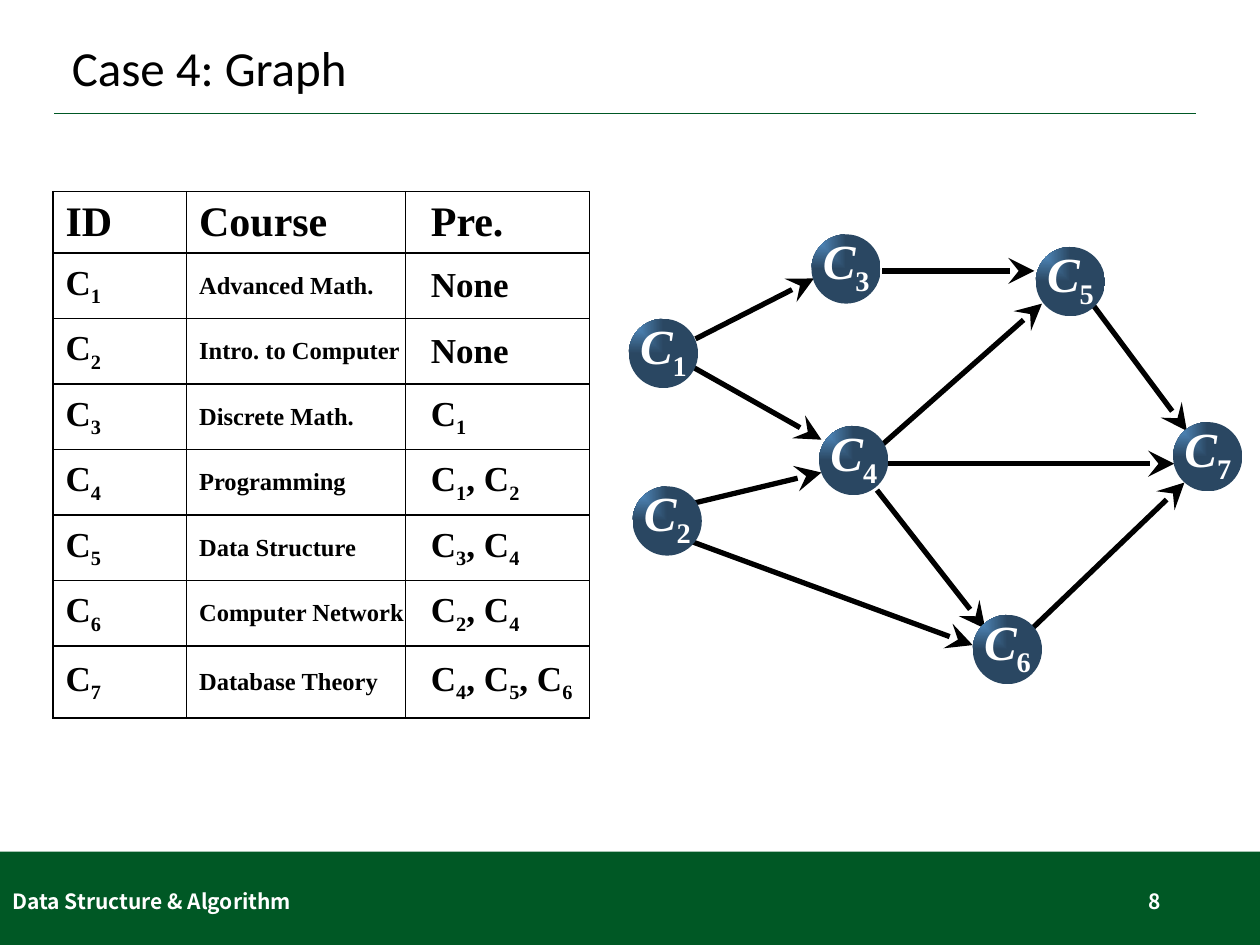
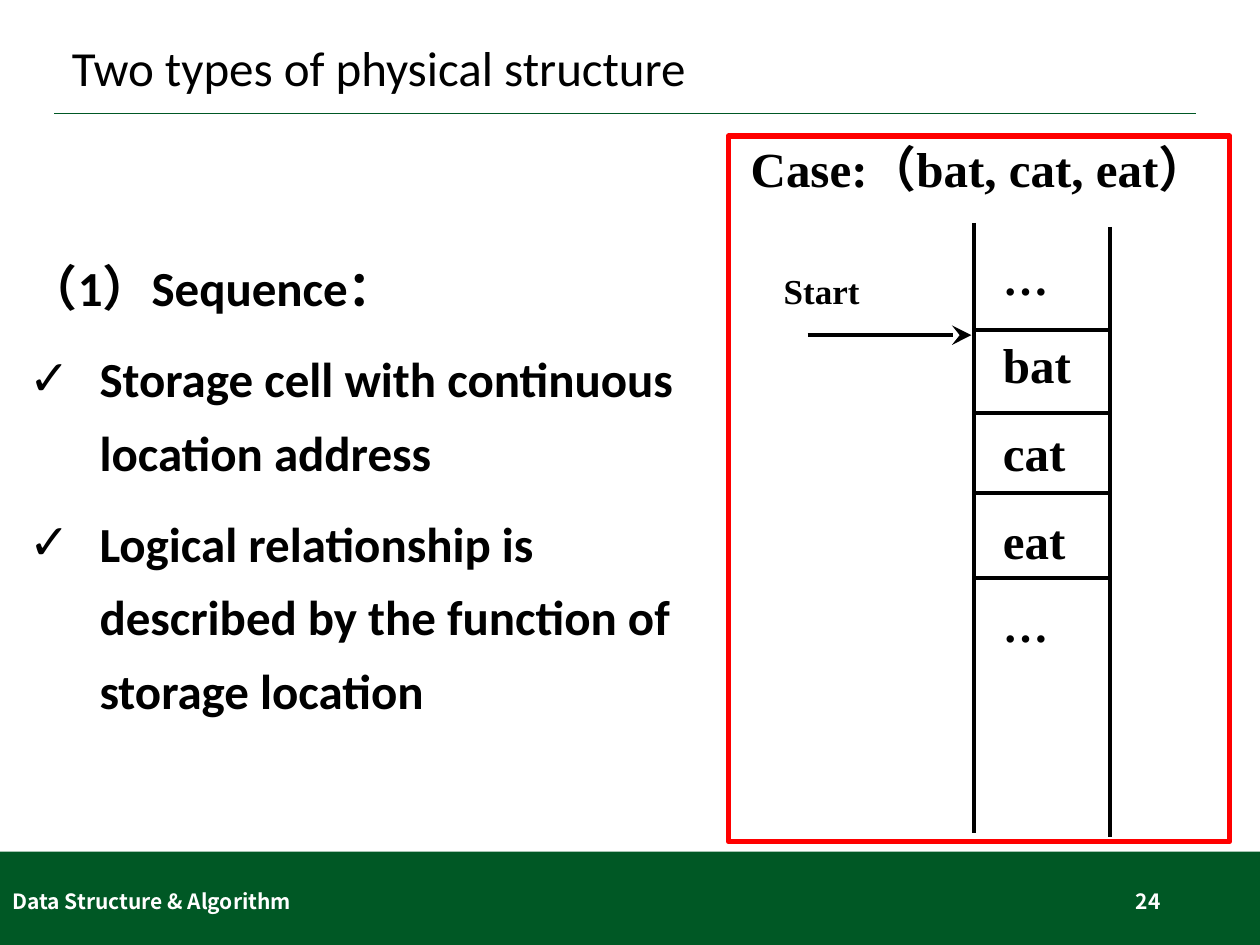
from lxml import etree
from pptx import Presentation
from pptx.dml.color import RGBColor
from pptx.enum.shapes import MSO_CONNECTOR, MSO_SHAPE
from pptx.enum.text import MSO_ANCHOR, MSO_AUTO_SIZE, PP_ALIGN
from pptx.oxml.ns import qn
from pptx.util import Inches, Pt

STRAIGHT = MSO_CONNECTOR.STRAIGHT
RECTANGLE, OVAL = MSO_SHAPE.RECTANGLE, MSO_SHAPE.OVAL
TOP, MIDDLE = MSO_ANCHOR.TOP, MSO_ANCHOR.MIDDLE
NO_AUTOFIT = MSO_AUTO_SIZE.NONE
LEFT, RIGHT = PP_ALIGN.LEFT, PP_ALIGN.RIGHT

BLACK = RGBColor(0x00, 0x00, 0x00)
WHITE = RGBColor(0xFF, 0xFF, 0xFF)
RED = RGBColor(0xFF, 0x00, 0x00)
GREEN = RGBColor(0x00, 0x58, 0x25)
NODE_LIGHT = RGBColor(0x5B, 0x9B, 0xD5)
NODE_DARK = RGBColor(0x2A, 0x47, 0x62)

SANS, SERIF, FOOTER_FONT = "Calibri", "Times New Roman", "Noto Sans CJK SC"
TITLE = {"name": SANS, "size": Pt(28), "bold": False}
BODY = {"name": SANS, "size": Pt(28), "bold": True}
FOOTER = {"name": FOOTER_FONT, "size": Pt(12), "bold": True}
HEADER = {"name": SERIF, "size": Pt(24), "bold": True}
CELL = {"name": SERIF, "size": Pt(20), "bold": True}
COURSE = {"name": SERIF, "size": Pt(14), "bold": True}
CASE = {"name": SERIF, "size": Pt(28), "bold": True}
ELLIPSIS = {"name": SERIF, "size": Pt(26), "bold": True}

TITLE_ONLY, TITLE_AND_BODY = 5, 1
DEFAULT_INSETS = (0.1, 0.05, 0.1, 0.05)

COURSES = [
    ("ID", "Course", "Pre."),
    ("C_1", "Advanced Math.", "None"),
    ("C_2", "Intro. to Computer", "None"),
    ("C_3", "Discrete Math.", "C_1"),
    ("C_4", "Programming", "C_1, C_2"),
    ("C_5", "Data Structure", "C_3, C_4"),
    ("C_6", "Computer Network", "C_2, C_4"),
    ("C_7", "Database Theory", "C_4, C_5, C_6"),
]
COLUMN_WIDTHS = [1.06, 1.74, 1.46]
ROW_HEIGHTS = [0.49] + [0.52] * 6 + [0.57]

NODE_SIZE = 0.55
NODES = {
    "C_1": (4.99, 2.53), "C_2": (5.02, 3.86), "C_3": (6.44, 1.86),
    "C_4": (6.5, 3.38), "C_5": (8.22, 1.96), "C_6": (7.72, 4.88),
    "C_7": (9.31, 3.35),
}
PREREQUISITE_ARROWS = [
    (8.19, 4.99, 9.4, 3.83), (8.66, 2.4, 9.42, 3.42),
    (7, 2.15, 8.21, 2.15), (6.99, 3.54, 8.27, 2.41),
    (6.96, 3.89, 7.82, 4.99), (7.02, 3.68, 9.32, 3.68),
    (5.52, 2.69, 6.46, 2.21), (5.44, 4.28, 7.72, 5.12),
    (5.52, 3.99, 6.52, 3.75), (5.51, 2.92, 6.52, 3.49),
]


def add_element(parent, tag, **attributes):
    return etree.SubElement(parent, qn(tag), attributes)


def inches(values):
    return [Inches(value) for value in values]


class Deck:
    def __init__(self):
        self.presentation = Presentation()
        self.presentation.slide_width = Inches(10)
        self.presentation.slide_height = Inches(7.5)
        self.slide = None

    def start_slide(self, layout, title, number):
        """Add a slide with its title, rule, green band and footer."""
        layouts = self.presentation.slide_layouts
        self.slide = self.presentation.slides.add_slide(layouts[layout])
        self.rectangle((0, 6.76, 10, 0.74), fill=GREEN)
        self.line((0.43, 0.9, 9.49, 0.9), 1, GREEN)
        frame = self.placeholder(0, (0.47, 0.23, 9.06, 0.66), MIDDLE)
        self.add_runs(frame.paragraphs[0], title, TITLE, line_spacing=0.9)
        self.text((0, 6.95, 3.38, 0.4), ["Data Structure & Algorithm"],
                  FOOTER, WHITE, anchor=MIDDLE)
        self.text((7.06, 6.95, 2.25, 0.4), [str(number)], FOOTER, WHITE,
                  anchor=MIDDLE, alignment=RIGHT)

    def placeholder(self, index, box, anchor):
        holder = self.slide.placeholders[index]
        holder.left, holder.top, holder.width, holder.height = inches(box)
        return self.set_frame(holder.text_frame, anchor)

    def set_frame(self, frame, anchor, insets=DEFAULT_INSETS):
        frame.word_wrap = True
        frame.auto_size = NO_AUTOFIT
        frame.vertical_anchor = anchor
        (frame.margin_left, frame.margin_top,
         frame.margin_right, frame.margin_bottom) = inches(insets)
        return frame

    def add_runs(self, paragraph, text, font, color=BLACK, alignment=LEFT,
                 line_spacing=None):
        """Add text in which a character after "_" is a subscript."""
        paragraph.alignment = alignment
        paragraph.line_spacing = line_spacing
        head, *tails = text.split("_")
        pieces = [(head, False)]
        for tail in tails:
            pieces += [(tail[0], True), (tail[1:], False)]
        for piece, subscript in pieces:
            if not piece:
                continue
            run = paragraph.add_run()
            run.text = piece
            for name, value in font.items():
                setattr(run.font, name, value)
            run.font.color.rgb = color
            properties = run._r.get_or_add_rPr()
            add_element(properties, "a:ea", typeface=FOOTER_FONT)
            if subscript:
                properties.set("baseline", "-25000")
                run.font.italic = False

    def text(self, box, lines, font, color=BLACK, anchor=TOP,
             insets=DEFAULT_INSETS, alignment=LEFT, line_spacing=None):
        shape = self.slide.shapes.add_textbox(*inches(box))
        frame = self.set_frame(shape.text_frame, anchor, insets)
        for index, line in enumerate(lines):
            paragraph = frame.add_paragraph() if index else frame.paragraphs[0]
            line_font = ELLIPSIS if line == "…" else font
            self.add_runs(paragraph, line, line_font, color, alignment,
                          line_spacing)

    def bullets(self, box, heading, items):
        frame = self.placeholder(1, box, TOP)
        for index, item in enumerate([heading] + items):
            paragraph = frame.add_paragraph() if index else frame.paragraphs[0]
            properties = paragraph._p.get_or_add_pPr()
            properties.set("marL", str(Inches(0.56)))
            properties.set("indent", str(Inches(-0.56)))
            if index:
                add_element(properties, "a:buChar", char="✓")
            else:
                add_element(properties, "a:buNone")
            paragraph.space_before = Pt(10 if index else 0)
            self.add_runs(paragraph, item, BODY, line_spacing=1.25)

    def rectangle(self, box, fill=None, outline=None):
        shape = self.slide.shapes.add_shape(RECTANGLE, *inches(box))
        shape.shadow.inherit = False
        if fill is None:
            shape.fill.background()
        else:
            shape.fill.solid()
            shape.fill.fore_color.rgb = fill
        if outline is None:
            shape.line.fill.background()
        else:
            shape.line.color.rgb = outline
            shape.line.width = Pt(3)

    def line(self, ends, width, color=BLACK, arrow=False):
        connector = self.slide.shapes.add_connector(STRAIGHT, *inches(ends))
        connector.line.color.rgb = color
        connector.line.width = Pt(width)
        properties = connector._element.spPr
        if arrow:
            add_element(properties.find(qn("a:ln")), "a:tailEnd",
                        type="stealth", w="lg", len="lg")
        add_element(properties, "a:effectLst")

    def node(self, label, left, top):
        circle = self.slide.shapes.add_shape(
            OVAL, *inches((left, top, NODE_SIZE, NODE_SIZE)))
        circle.shadow.inherit = False
        circle.line.fill.background()
        circle.fill.gradient()
        for stop, color in zip(circle.fill.gradient_stops,
                               (NODE_LIGHT, NODE_DARK)):
            stop.color.rgb = color
        gradient = circle._element.spPr.find(qn("a:gradFill"))
        gradient.remove(gradient.find(qn("a:lin")))
        shade = add_element(gradient, "a:path", path="rect")
        add_element(shade, "a:fillToRect", r="100000", b="100000")
        self.text((left + 0.07, top - 0.05, 0.51, 0.65), [label],
                  {**CASE, "italic": True}, WHITE,
                  insets=(0.02, 0.02, 0, 0.01))

    def table(self, left, top, rows, widths, heights):
        box = (left, top, sum(widths), sum(heights))
        table = self.slide.shapes.add_table(
            len(rows), len(widths), *inches(box)).table
        table.first_row = table.horz_banding = False
        for column, width in zip(table.columns, widths):
            column.width = Inches(width)
        for row, height in zip(table.rows, heights):
            row.height = Inches(height)
        for row_index, values in enumerate(rows):
            fonts = (CELL, COURSE, CELL) if row_index else (HEADER,) * 3
            for column_index, (value, font) in enumerate(zip(values, fonts)):
                cell = table.cell(row_index, column_index)
                cell.vertical_anchor = MIDDLE
                cell.margin_left = Inches(0.2 if column_index == 2 else 0.1)
                cell.margin_right = 0
                self.add_runs(cell.text_frame.paragraphs[0], value, font)
                self.border(cell)
                cell.fill.background()

    def border(self, cell):
        properties = cell._tc.get_or_add_tcPr()
        for side in ("a:lnL", "a:lnR", "a:lnT", "a:lnB"):
            edge = add_element(properties, side, w=str(Pt(1)))
            fill = add_element(edge, "a:solidFill")
            add_element(fill, "a:srgbClr", val=str(BLACK))


def build_graph_slide(deck):
    deck.start_slide(TITLE_ONLY, "Case 4: Graph", 8)
    deck.table(0.42, 1.52, COURSES, COLUMN_WIDTHS, ROW_HEIGHTS)
    for ends in PREREQUISITE_ARROWS:
        deck.line(ends, 3, arrow=True)
    for label, (left, top) in NODES.items():
        deck.node(label, left, top)


def build_sequence_slide(deck):
    deck.start_slide(TITLE_AND_BODY, "Two types of physical structure", 24)
    deck.bullets((0.13, 1.88, 5.67, 4.29), "（1）Sequence：", [
        "Storage cell with continuous location address",
        "Logical relationship is described by the function of "
        "storage location",
    ])
    memory_left, memory_right = 7.73, 8.81
    deck.line((memory_left, 1.77, memory_left, 6.61), 2.25)
    deck.line((memory_right, 1.8, memory_right, 6.64), 2.25)
    for cell_edge in (2.62, 3.28, 3.91, 4.59):
        deck.line((memory_left, cell_edge, memory_right, cell_edge), 2.25)
    deck.text((7.96, 1.72, 0.65, 3.83), ["…", "bat", "cat", "eat", "…"],
              CASE, insets=(0, 0.05, 0, 0.05), line_spacing=1.5)
    deck.text((6.2, 2.15, 1.41, 0.46), ["Start"], CELL,
              insets=(0.02, 0.01, 0.02, 0.01), line_spacing=0.96)
    deck.line((6.41, 2.66, 7.71, 2.66), 2.25, arrow=True)
    deck.text((5.86, 1.05, 4.14, 0.57), ["Case:（bat, cat, eat）"], CASE)
    deck.rectangle((5.78, 1.08, 3.98, 5.6), outline=RED)


def main():
    deck = Deck()
    build_graph_slide(deck)
    build_sequence_slide(deck)
    deck.presentation.save("out.pptx")


if __name__ == "__main__":
    main()
